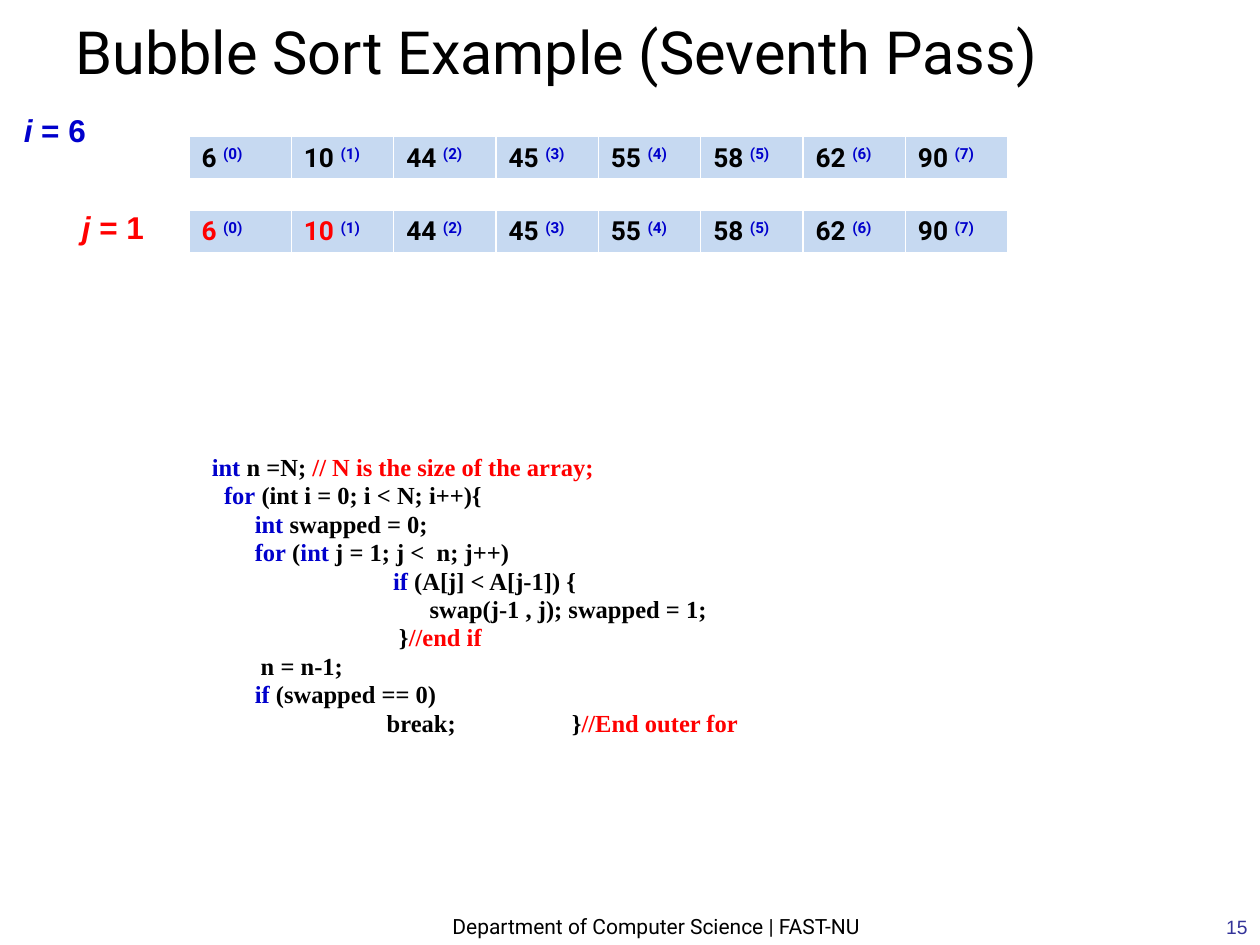
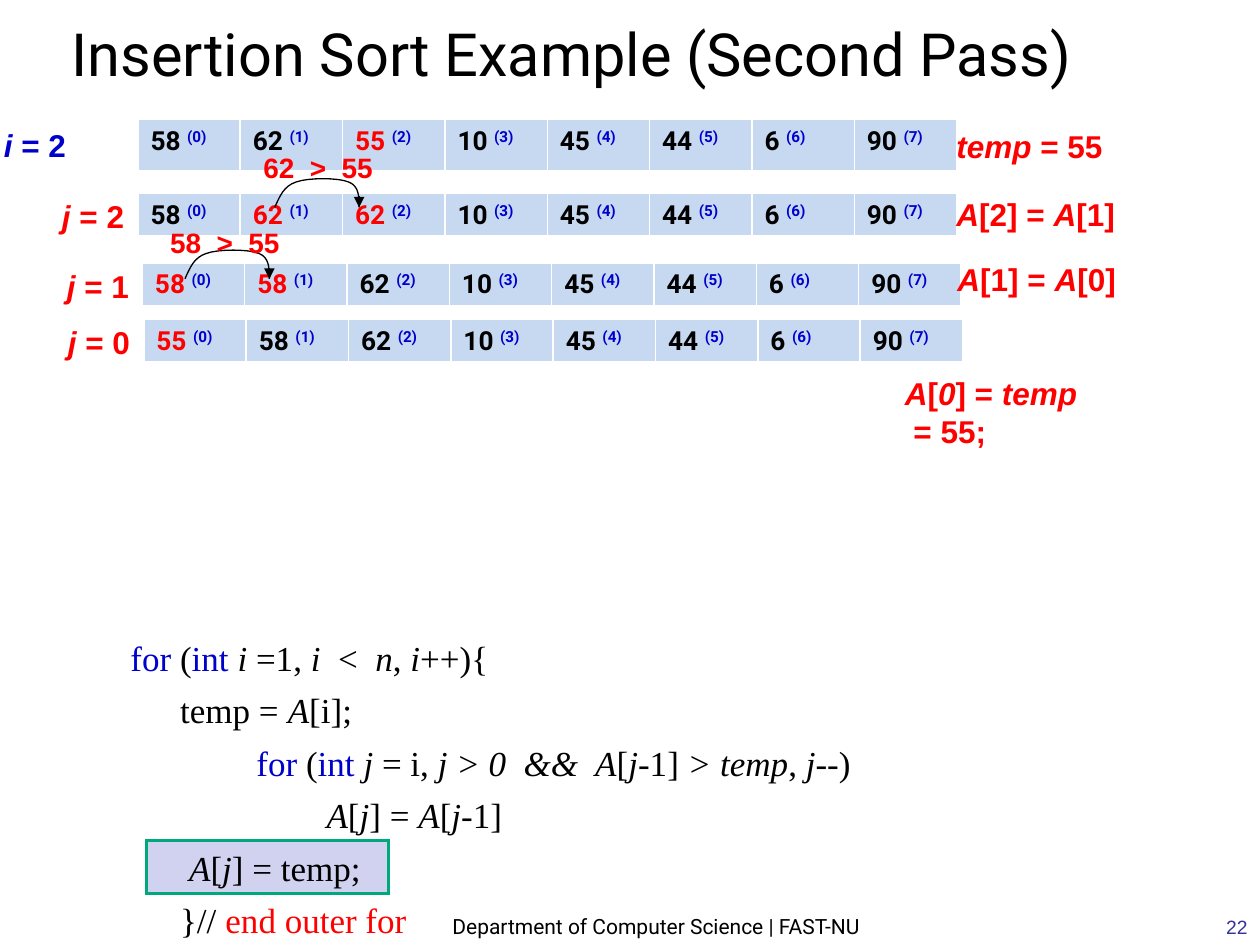
import lxml.etree
import pptx
import pptx.dml.color
import pptx.enum.shapes
import pptx.enum.text
import pptx.oxml.ns
import pptx.util

Cm, Pt = pptx.util.Cm, pptx.util.Pt
RGB = pptx.dml.color.RGBColor
ALIGN = pptx.enum.text.PP_ALIGN
ANCHOR = pptx.enum.text.MSO_ANCHOR
qn = pptx.oxml.ns.qn

BLACK = RGB(0x00, 0x00, 0x00)
WHITE = RGB(0xFF, 0xFF, 0xFF)
BLUE = RGB(0x00, 0x00, 0xCC)
RED = RGB(0xFF, 0x00, 0x00)
NAVY = RGB(0x33, 0x33, 0x99)
CELL_BLUE = RGB(0xC6, 0xD9, 0xF1)
LILAC = RGB(0xD1, 0xD1, 0xF0)
GREEN = RGB(0x00, 0xA9, 0x7C)

TITLE = {"name": "Roboto", "size": Pt(34)}
FOOTER = {"name": "Roboto", "size": Pt(12)}
PAGE = {"name": "Arial", "size": Pt(11)}
CELL = {"name": "Roboto", "size": Pt(15), "bold": True}
LABEL = {"name": "Arial", "size": Pt(18), "bold": True}
COMPARISON = {"name": "Arial", "size": Pt(16), "bold": True}
BUBBLE_CODE = {"name": "Times New Roman", "size": Pt(14), "bold": True}
INSERTION_CODE = {"name": "Times New Roman", "size": Pt(20)}

FOOTER_TEXT = "Department of Computer Science | FAST-NU"
ARRAY_WIDTH, ARRAY_HEIGHT = 16.51, 0.89
COUNTER_WIDTH, LABEL_HEIGHT = 1.82, 1.02

# Inline marks: *italic*, ^blue^, ~red~. Boxes are left, top, width, height in cm.
SLIDES = [
    {
        "title": ("Bubble Sort Example (Seventh Pass)", (1.27, 0, 20.12, 1.87)),
        "page": "15",
        # values, indices shown in red, left, top, height
        "arrays": [
            ([6, 10, 44, 45, 55, 58, 62, 90], (), 3.81, 2.75, ARRAY_HEIGHT),
            ([6, 10, 44, 45, 55, 58, 62, 90], (0, 1), 3.81, 4.24, ARRAY_HEIGHT),
        ],
        "labels": [
            (["*i* = 6"], BLUE, 0.23, 2.11, COUNTER_WIDTH),
            (["*j* = 1"], RED, 1.4, 4.06, COUNTER_WIDTH),
        ],
        "code": {
            "box": (4.02, 9.1, 12.7, 6.35),
            "format": BUBBLE_CODE,
            "spacing": {"line_spacing": 0.8, "space_before": Pt(2.8)},
            "tabs": (2.54, 7.26),
            "lines": [
                "^int^ n =N; ~// N is the size of the array;~",
                "  ^for^ (int i = 0; i < N; i++){",
                "       ^int^ swapped = 0;",
                "       ^for^ (^int^ j = 1; j <  n; j++)",
                "\t         ^if^ (A[j] < A[j-1]) {",
                "\t               swap(j-1 , j); swapped = 1;",
                "\t          }~//end if~",
                "        n = n-1;",
                "       ^if ^(swapped == 0)",
                "\t        break;\t}~//End outer for~",
            ],
        },
    },
    {
        "title": ("Insertion Sort Example (Second Pass)", (1.2, 0.05, 21.03, 1.85)),
        "page": "22",
        "highlight": (2.95, 16.94, 4.88, 1.07),
        "arrays": [
            ([58, 62, 55, 10, 45, 44, 6, 90], (2,), 2.78, 2.41, 1.07),
            ([58, 62, 62, 10, 45, 44, 6, 90], (1, 2), 2.78, 3.9, ARRAY_HEIGHT),
            ([58, 58, 62, 10, 45, 44, 6, 90], (0, 1), 2.87, 5.3, ARRAY_HEIGHT),
            ([55, 58, 62, 10, 45, 44, 6, 90], (0,), 2.9, 6.44, ARRAY_HEIGHT),
        ],
        "labels": [
            (["*i* = 2"], BLUE, -0.17, 2.41, COUNTER_WIDTH),
            (["*j* = 2"], RED, 1, 3.85, COUNTER_WIDTH),
            (["*j* = 1"], RED, 1.1, 5.25, COUNTER_WIDTH),
            (["*j* = 0"], RED, 1.12, 6.39, COUNTER_WIDTH),
            (["*temp* = 55"], RED, 19.03, 2.44, 3.45),
            (["*A*[2] = *A*[1]"], RED, 19.03, 3.81, 3.71),
            (["*A*[1] = *A*[0]"], RED, 19.05, 5.12, 3.71),
            (["*A*[*0*] = *temp*", " = 55;"], RED, 17.99, 7.41, 3.99),
        ],
        # comparison, its box, start of the arc that moves the value
        "moves": [
            ("62  >  55", (5.06, 2.91, 2.74, 0.94), (5.54, 4.18)),
            ("58  >  55", (3.18, 4.43, 2.74, 0.94), (3.73, 5.62)),
        ],
        "code": {
            "box": (1.62, 12.7, 20.12, 5.92),
            "format": INSERTION_CODE,
            "spacing": {"space_before": Pt(6)},
            "tabs": (0.76, 3.3),
            "lines": [
                "\t^for^ (^int ^*i *=1, *i  *<  *n*, *i*++){",
                "          temp = *A*[i];",
                "\t\t^for^ (^int ^*j *= i, *j > 0  &&  A*[*j*-1]* > temp*, *j*--)",
                "\t\t        *A*[*j*] = *A*[*j*-1]",
                "           *A*[*j*] = temp;",
                "          }// ~end outer for~",
            ],
        },
    },
]

# Bezier nodes of a move arc, in cm from its start
ARC = [(0, 0), (0.1, -0.22), (0.18, -0.43), (0.43, -0.51), (0.68, -0.6),
       (1.27, -0.6), (1.49, -0.51), (1.7, -0.43), (1.7, -0.22), (1.7, 0)]
ARC_STEPS = 8


def apply(target, values):
    for key, value in values.items():
        setattr(target, key, value)


def add_run(paragraph, text, font, color):
    run = paragraph.add_run()
    run.text = text
    apply(run.font, font)
    run.font.color.rgb = color
    return run


def add_marked(paragraph, text, font, color):
    """Add runs for text with *italic*, ^blue^ and ~red~ marks."""
    marks = {"*": (True, color), "^": (False, BLUE), "~": (False, RED)}
    active, piece = None, ""
    for char in text + "\0":
        if char not in marks and char != "\0":
            piece += char
            continue
        if piece:
            italic, shade = marks.get(active, (False, color))
            add_run(paragraph, piece, {**font, "italic": italic}, shade)
        active, piece = (None if active == char else char), ""


def add_text(slide, lines, box, font, color=BLACK, align=ALIGN.LEFT,
             anchor=ANCHOR.TOP, wrap=True, spacing=None, tabs=()):
    frame = slide.shapes.add_textbox(*map(Cm, box)).text_frame
    apply(frame, {"word_wrap": wrap, "vertical_anchor": anchor})
    for number, line in enumerate(lines):
        paragraph = frame.add_paragraph() if number else frame.paragraphs[0]
        apply(paragraph, {"alignment": align, **(spacing or {})})
        if number == 0:
            paragraph.space_before = Pt(0)
        if tabs:
            stops = lxml.etree.SubElement(paragraph._p.get_or_add_pPr(), qn("a:tabLst"))
            for stop in tabs:
                lxml.etree.SubElement(stops, qn("a:tab"), pos=str(Cm(stop)), algn="l")
        add_marked(paragraph, line, font, color)


def add_border(cell, side, width):
    line = lxml.etree.SubElement(cell._tc.get_or_add_tcPr(), qn("a:ln" + side),
                                 w=str(Pt(width)))
    fill = lxml.etree.SubElement(line, qn("a:solidFill"))
    lxml.etree.SubElement(fill, qn("a:srgbClr"), val=str(WHITE))


def add_array(slide, values, red_indices, left, top, height):
    box = map(Cm, (left, top, ARRAY_WIDTH, height))
    table = slide.shapes.add_table(1, len(values), *box).table
    apply(table, {"first_row": False, "horz_banding": False})
    for index, value in enumerate(values):
        table.columns[index].width = Cm(ARRAY_WIDTH / len(values))
        cell = table.cell(0, index)
        for side, width in (("L", 1), ("R", 1), ("T", 1), ("B", 3)):
            add_border(cell, side, width)
        cell.fill.solid()
        cell.fill.fore_color.rgb = CELL_BLUE
        paragraph = cell.text_frame.paragraphs[0]
        add_run(paragraph, f"{value} ", CELL, RED if index in red_indices else BLACK)
        position = add_run(paragraph, f"({index})", CELL, BLUE)
        position._r.get_or_add_rPr().set("baseline", "30000")


def bezier_points(nodes):
    for first in range(0, len(nodes) - 1, 3):
        for step in range(1, ARC_STEPS + 1):
            t = step / ARC_STEPS
            weights = ((1 - t) ** 3, 3 * t * (1 - t) ** 2, 3 * t * t * (1 - t), t ** 3)
            yield tuple(sum(w * node[axis] for w, node in zip(weights, nodes[first:first + 4]))
                        for axis in (0, 1))


def add_move_arc(slide, start):
    nodes = [(start[0] + x, start[1] + y) for x, y in ARC]
    builder = slide.shapes.build_freeform(*map(Cm, start))
    builder.add_line_segments([tuple(map(Cm, point)) for point in bezier_points(nodes)],
                              close=False)
    arc = builder.convert_to_shape()
    arc.shadow.inherit = False
    arc.fill.background()
    head = slide.shapes.add_connector(pptx.enum.shapes.MSO_CONNECTOR.STRAIGHT,
                                      *map(Cm, nodes[-2] + nodes[-1]))
    for stroke in (arc.line, head.line):
        stroke.color.rgb = BLACK
        stroke.width = Pt(0.75)
    properties = head._element.spPr
    lxml.etree.SubElement(properties.find(qn("a:ln")), qn("a:tailEnd"), type="triangle")
    lxml.etree.SubElement(properties, qn("a:effectLst"))


def add_highlight(slide, box):
    highlight = slide.shapes.add_shape(pptx.enum.shapes.MSO_SHAPE.RECTANGLE, *map(Cm, box))
    highlight.shadow.inherit = False
    highlight.fill.solid()
    highlight.fill.fore_color.rgb = LILAC
    highlight.line.color.rgb = GREEN
    highlight.line.width = Pt(1.5)
    outline = highlight._element.spPr.find(qn("a:ln"))
    lxml.etree.SubElement(outline, qn("a:miter"), lim="800000")


def build_slide(deck, content):
    slide = deck.slides.add_slide(deck.slide_layouts[6])
    add_text(slide, [FOOTER_TEXT], (6.98, 17.98, 12.5, 1.07), FOOTER,
             align=ALIGN.CENTER, anchor=ANCHOR.BOTTOM)
    if "highlight" in content:
        add_highlight(slide, content["highlight"])
    title, title_box = content["title"]
    add_text(slide, [title], title_box, TITLE, anchor=ANCHOR.BOTTOM)
    for array in content["arrays"]:
        add_array(slide, *array)
    code = content["code"]
    add_text(slide, code["lines"], code["box"], code["format"],
             spacing=code["spacing"], tabs=code["tabs"])
    for lines, color, left, top, width in content["labels"]:
        height = LABEL_HEIGHT + 0.76 * (len(lines) - 1)
        add_text(slide, lines, (left, top, width, height), LABEL, color, wrap=False)
    for comparison, box, start in content.get("moves", ()):
        add_move_arc(slide, start)
        add_text(slide, [comparison], box, COMPARISON, RED, wrap=False)
    add_text(slide, [content["page"]], (20.12, 17.78, 5.28, 1.27), PAGE, NAVY,
             align=ALIGN.RIGHT, anchor=ANCHOR.BOTTOM)


def main():
    deck = pptx.Presentation()
    deck.slide_width, deck.slide_height = Cm(25.4), Cm(19.05)
    for content in SLIDES:
        build_slide(deck, content)
    deck.save("out.pptx")


if __name__ == "__main__":
    main()
